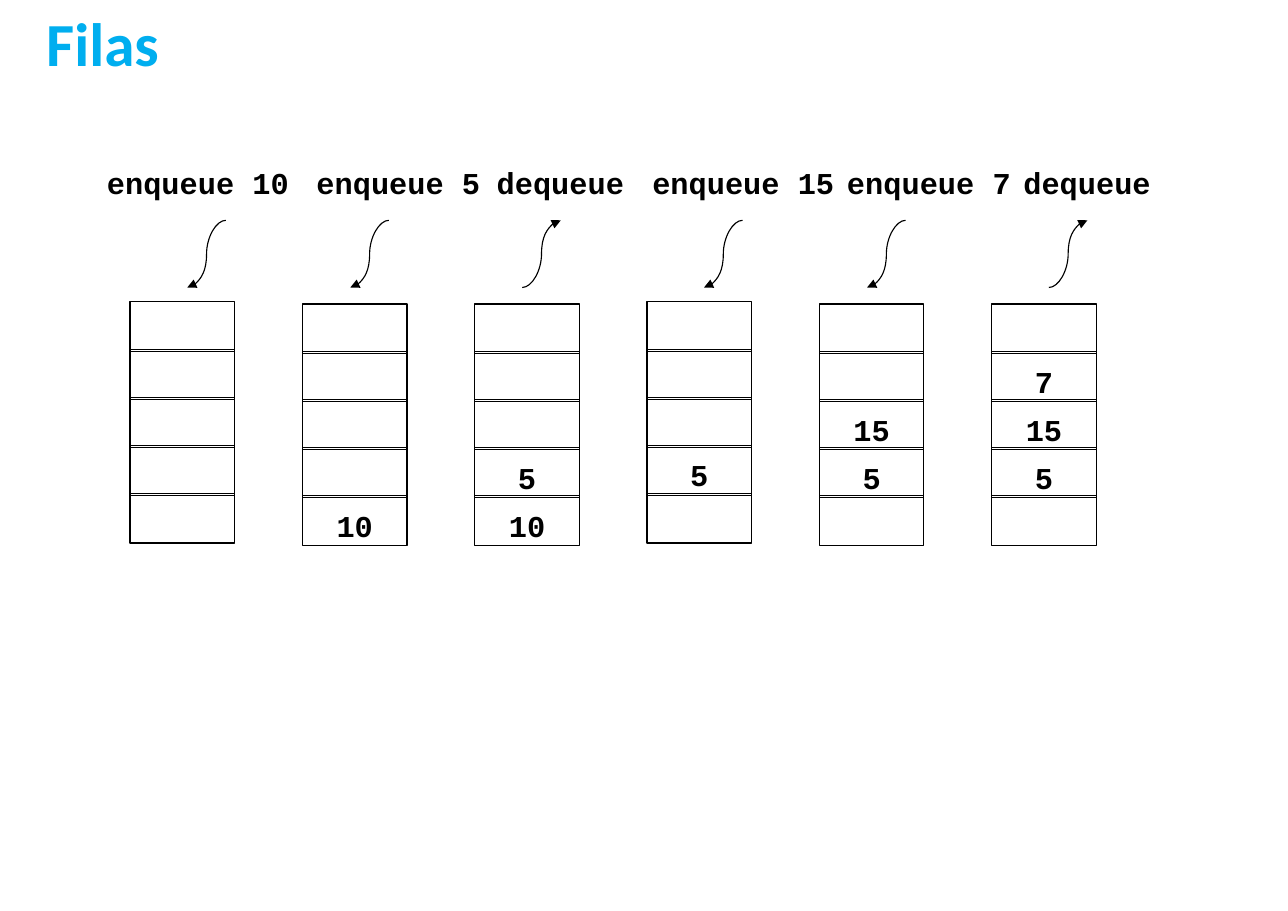
from lxml.etree import SubElement
from pptx import Presentation
from pptx.dml.color import RGBColor
from pptx.enum.shapes import MSO_CONNECTOR, MSO_SHAPE
from pptx.enum.text import MSO_ANCHOR, PP_ALIGN
from pptx.oxml.ns import qn
from pptx.util import Inches, Pt

BLACK = RGBColor(0, 0, 0)
CYAN = RGBColor(0x00, 0xAE, 0xEF)

TITLE_FONT = {"name": "Calibri", "size": Pt(40), "bold": True}
CODE_FONT = {"name": "Courier New", "size": Pt(19.8), "bold": True}
TITLE_FRAME = {"margin_left": Inches(0.11), "margin_right": Inches(0.11),
               "margin_top": Inches(0.06), "margin_bottom": Inches(0.06),
               "vertical_anchor": MSO_ANCHOR.BOTTOM, "word_wrap": True}
CODE_FRAME = {"margin_left": Inches(0.11), "margin_right": Inches(0.11),
              "margin_top": Inches(0.1), "margin_bottom": Inches(0.02),
              "vertical_anchor": MSO_ANCHOR.TOP, "word_wrap": False}

CELL_COUNT = 5
CELL_WIDTH, CELL_HEIGHT = 0.95, 0.45
CELL_PITCH = 1.74 / 4
QUEUE_LEFT = 1.18
QUEUE_PITCH = 7.82 / 5
LABEL_TOP, LABEL_HEIGHT = 1.39, 0.45
ARROW_TOP, ARROW_WIDTH, ARROW_HEIGHT = 2, 0.35, 0.61

# operation, label left, label width, arrow left, queue top, {cell row: value}
STEPS = [
    ("enqueue 10", 0.84, 1.91, 1.7, 2.74, {}),
    ("enqueue 5", 2.66, 1.91, 3.18, 2.76, {4: "10"}),
    ("dequeue", 4.39, 1.39, 4.74, 2.76, {3: "5", 4: "10"}),
    ("enqueue 15", 5.79, 1.91, 6.39, 2.74, {3: "5"}),
    ("enqueue 7", 7.52, 1.82, 7.87, 2.76, {2: "15", 3: "5"}),
    ("dequeue", 9.17, 1.39, 9.52, 2.76, {1: "7", 2: "15", 3: "5"}),
]


def apply(target, values):
    for name, value in values.items():
        setattr(target, name, value)


def write_text(shape, text, frame_format, font_format, color, align):
    frame = shape.text_frame
    apply(frame, frame_format)
    para = frame.paragraphs[0]
    para.alignment = align
    span = para.add_run()
    span.text = text
    apply(span.font, font_format)
    span.font.color.rgb = color
    return para


def add_title(page, text, left, top, width, height):
    box = page.shapes.add_textbox(*map(Inches, (left, top, width, height)))
    para = write_text(box, text, TITLE_FRAME, TITLE_FONT, CYAN, PP_ALIGN.LEFT)
    para.line_spacing = 0.9


def add_label(page, text, left, top, width, height):
    box = page.shapes.add_textbox(*map(Inches, (left, top, width, height)))
    write_text(box, text, CODE_FRAME, CODE_FONT, BLACK, PP_ALIGN.CENTER)


def add_arrow(page, inward, left, top, width, height):
    """Curve from top right to bottom left; the head marks the way it moves."""
    arrow = page.shapes.add_connector(
        MSO_CONNECTOR.CURVE, Inches(left + width), Inches(top),
        Inches(left), Inches(top + height))
    apply(arrow.line, {"width": Pt(0.75)})
    arrow.line.color.rgb = BLACK
    properties = arrow.line._get_or_add_ln()
    SubElement(properties, qn("a:tailEnd" if inward else "a:headEnd"),
               type="triangle")
    SubElement(arrow._element.spPr, qn("a:effectLst"))


def add_queue(page, values, left, top, width, height):
    for row in range(CELL_COUNT):
        cell = page.shapes.add_shape(
            MSO_SHAPE.RECTANGLE, Inches(left), Inches(top + row * CELL_PITCH),
            Inches(width), Inches(height))
        cell.shadow.inherit = False
        cell.fill.background()
        cell.line.color.rgb = BLACK
        cell.line.width = Pt(0.75)
        if row in values:
            write_text(cell, values[row], CODE_FRAME, CODE_FONT, BLACK,
                       PP_ALIGN.CENTER)


def main():
    deck = Presentation()
    deck.slide_width, deck.slide_height = Inches(11.69), Inches(8.27)
    page = deck.slides.add_slide(deck.slide_layouts[6])

    # Title
    add_title(page, "Filas", 0.31, 0, 9.39, 0.78)

    # One operation and the queue it acts on per column
    for index, step in enumerate(STEPS):
        operation, label_left, label_width, arrow_left, queue_top, values = step
        add_queue(page, values, QUEUE_LEFT + index * QUEUE_PITCH, queue_top,
                  CELL_WIDTH, CELL_HEIGHT)
        add_label(page, operation, label_left, LABEL_TOP, label_width,
                  LABEL_HEIGHT)
        add_arrow(page, operation.startswith("enqueue"), arrow_left, ARROW_TOP,
                  ARROW_WIDTH, ARROW_HEIGHT)

    deck.save("out.pptx")


if __name__ == "__main__":
    main()
